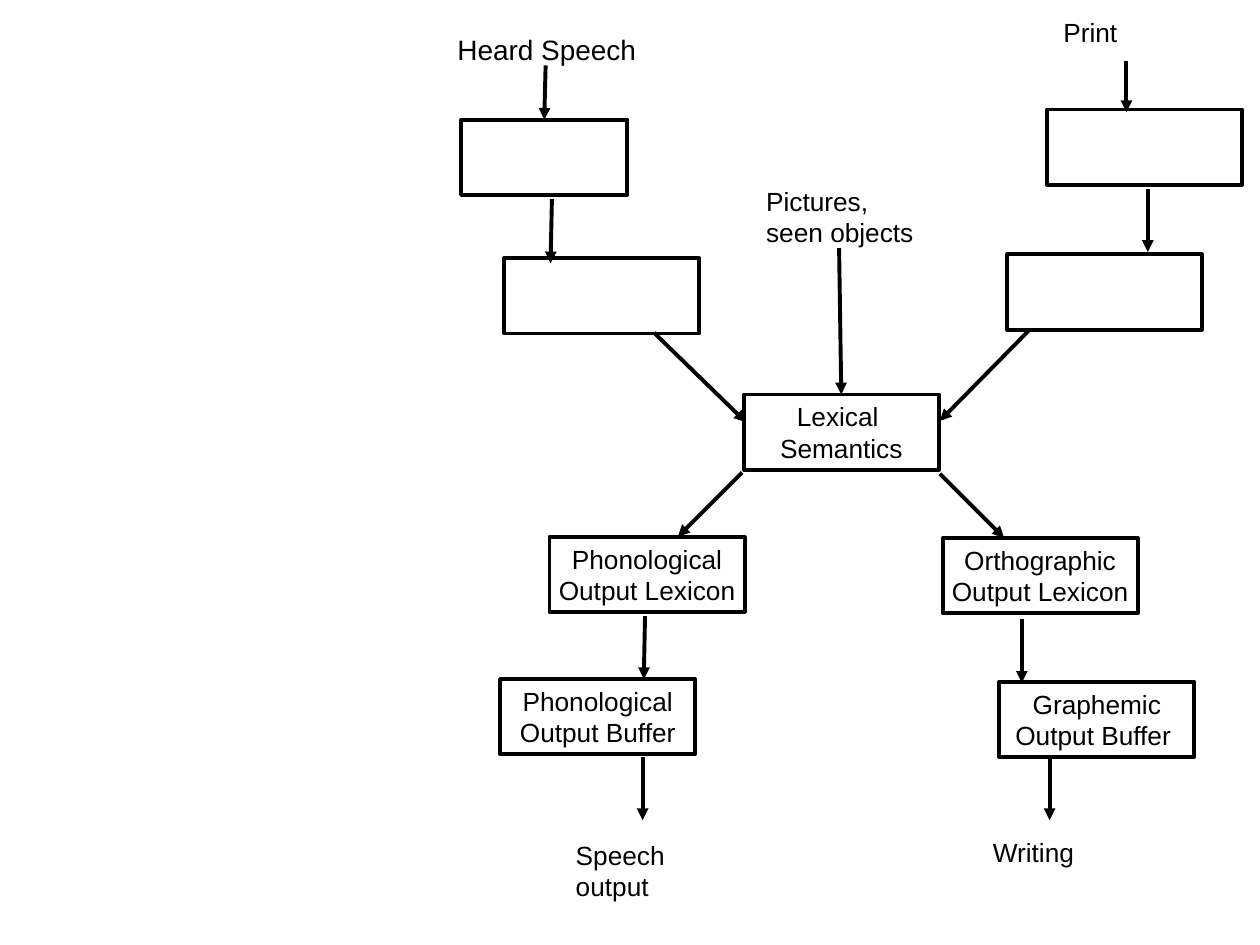
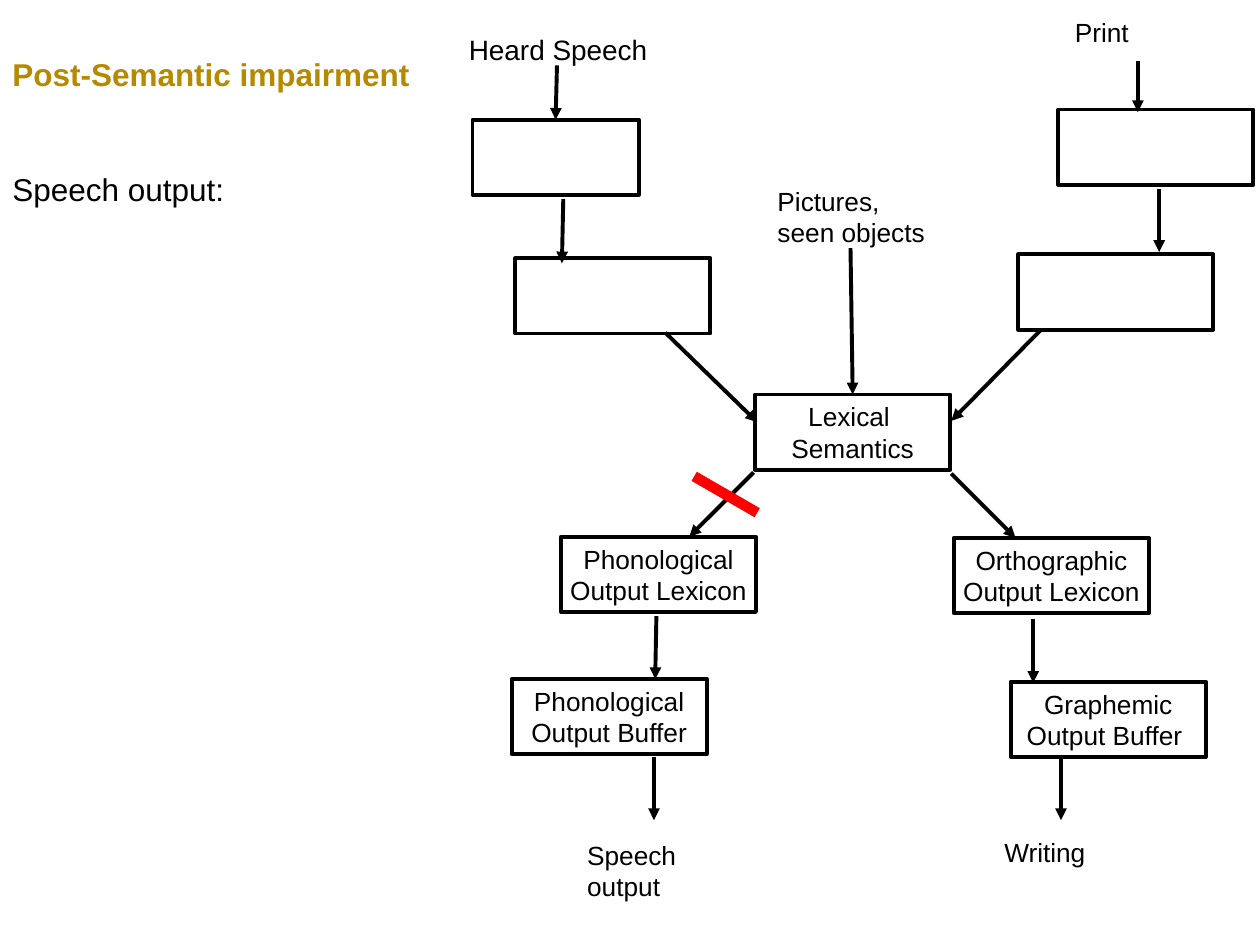
"""Build two slides of a word-processing model, intact and with a post-semantic impairment."""
from lxml.etree import SubElement
from pptx import Presentation
from pptx.dml.color import RGBColor
from pptx.enum.shapes import MSO_CONNECTOR as Connector, MSO_SHAPE as Shape
from pptx.enum.text import MSO_ANCHOR as Anchor, PP_ALIGN as Align
from pptx.oxml.ns import qn
from pptx.util import Pt

COLOURS = {"ink": "000000", "paper": "FFFFFF", "heading": "B58900", "lesion": "FF0000"}
TOP = 0
STAGE_WIDTH, STAGE_HEIGHT = 111.5, 43

STAGES = {
    "heard analysis": (263.5, 68.4, 95, ""),
    "heard lexicon": (288, 147.6, STAGE_WIDTH, ""),
    "print analysis": (598.3, 62.6, STAGE_WIDTH, ""),
    "print lexicon": (575.3, 145.4, STAGE_WIDTH, ""),
    "semantics": (425, 225.4, STAGE_WIDTH, "Lexical \nSemantics"),
    "spoken lexicon": (314, 306.7, STAGE_WIDTH, "Phonological Output Lexicon"),
    "spoken buffer": (285.8, 388, STAGE_WIDTH, "Phonological Output Buffer"),
    "written lexicon": (538.6, 307.4, STAGE_WIDTH, "Orthographic\nOutput Lexicon"),
    "written buffer": (571, 389.5, STAGE_WIDTH, "Graphemic Output Buffer "),
}

ENDPOINTS = [
    (257.8, 15.1, 124.6, 25, "Heard Speech", 16),
    (604.1, 5.8, 90.7, 24, "Print", 15),
    (434.2, 102.2, 100.8, 39, "Pictures,\nseen objects", 15),
    (325.4, 475.9, 73.4, 64, "Speech output", 15),
    (563.8, 474.5, 103, 52.6, "Writing", 15),
]

FLOWS = [
    ((311.8, 37.4), (311, 68.4), "heard analysis"),
    ((315.4, 113.8), (314.6, 150.5), None),
    ((373.7, 190.1), (426.2, 241.2), None),
    ((643.7, 34.6), (643.7, 64.1), None),
    ((655.9, 108), (655.9, 144), None),
    ((588.2, 188.6), (537.1, 240.5), None),
    ((479.5, 141.8), (480.75, 225.4), "semantics"),
    ((424.1, 270), (387.4, 306.7), None),
    ((368.6, 352.1), (367.9, 388.1), None),
    ((367.2, 432.7), (367.2, 468.7), None),
    ((537.1, 270.7), (573.8, 307.4), None),
    ((583.9, 353.5), (583.9, 390.2), None),
    ((599.8, 432.7), (599.8, 468.7), None),
]


class Deck:
    """Hold the style, the current slide and its horizontal offset."""

    def __init__(self):
        self.show = Presentation()
        self.show.slide_width, self.show.slide_height = Pt(720), Pt(540)
        self.slide, self.offset = None, 0

    def colour(self, name):
        return RGBColor.from_string(COLOURS[name])

    def new_slide(self):
        self.slide, self.offset = self.show.slides.add_slide(self.show.slide_layouts[6]), 0

    def set_text(self, frame, text, size, align=Align.LEFT, anchor=Anchor.TOP, side=3.6):
        frame.word_wrap, frame.vertical_anchor = True, anchor
        frame.margin_left = frame.margin_right = Pt(side)
        frame.margin_top = frame.margin_bottom = Pt(3.6)
        frame.text = text
        for paragraph in frame.paragraphs:
            paragraph.alignment = align
            for run in paragraph.runs:
                run.font.name, run.font.size = "Arial", Pt(size)
                run.font.color.rgb = self.colour("ink")

    def stage(self, left, top, width, text):
        box = self.slide.shapes.add_shape(
            Shape.RECTANGLE, Pt(left + self.offset), Pt(top), Pt(width), Pt(STAGE_HEIGHT))
        box.shadow.inherit = False
        box.fill.solid()
        box.fill.fore_color.rgb = self.colour("paper")
        box.line.color.rgb, box.line.width = self.colour("ink"), Pt(2.25)
        if text:
            self.set_text(box.text_frame, text, 15, Align.CENTER, Anchor.MIDDLE)
        return box

    def label(self, left, top, width, height, text, size, side=3.6):
        box = self.slide.shapes.add_textbox(
            Pt(left + self.offset), Pt(top), Pt(width), Pt(height))
        self.set_text(box.text_frame, text, size, side=side)
        return box.text_frame

    def line(self, start, end, colour="ink", width=2.25):
        stroke = self.slide.shapes.add_connector(
            Connector.STRAIGHT, Pt(start[0] + self.offset), Pt(start[1]),
            Pt(end[0] + self.offset), Pt(end[1]))
        stroke.line.color.rgb, stroke.line.width = self.colour(colour), Pt(width)
        SubElement(stroke._element.spPr, qn("a:effectLst"))
        return stroke

    def arrow(self, start, end, target=None):
        stroke = self.line(start, end)
        outline = stroke._element.spPr.find(qn("a:ln"))
        SubElement(outline, qn("a:tailEnd"), type="triangle")
        if target is not None:
            stroke.end_connect(target, TOP)

    def model(self, offset=0):
        self.new_slide()
        self.offset = offset
        stages = {name: self.stage(*place) for name, place in STAGES.items()}
        for endpoint in ENDPOINTS:
            self.label(*endpoint)
        for start, end, target in FLOWS:
            self.arrow(start, end, stages.get(target))
        self.offset = 0


def main():
    deck = Deck()
    deck.model()
    deck.model(offset=6.5)
    deck.line((396.7, 272.2), (432.7, 293), "lesion", 6)
    impairment = deck.label(0, 28, 332, 115, "Post-Semantic impairment\nSpeech output:", 18, 7.2)
    heading, affected = impairment.paragraphs
    heading.runs[0].font.bold = True
    heading.runs[0].font.color.rgb = deck.colour("heading")
    affected.space_before = Pt(44)
    deck.show.save("out.pptx")


if __name__ == "__main__":
    main()
